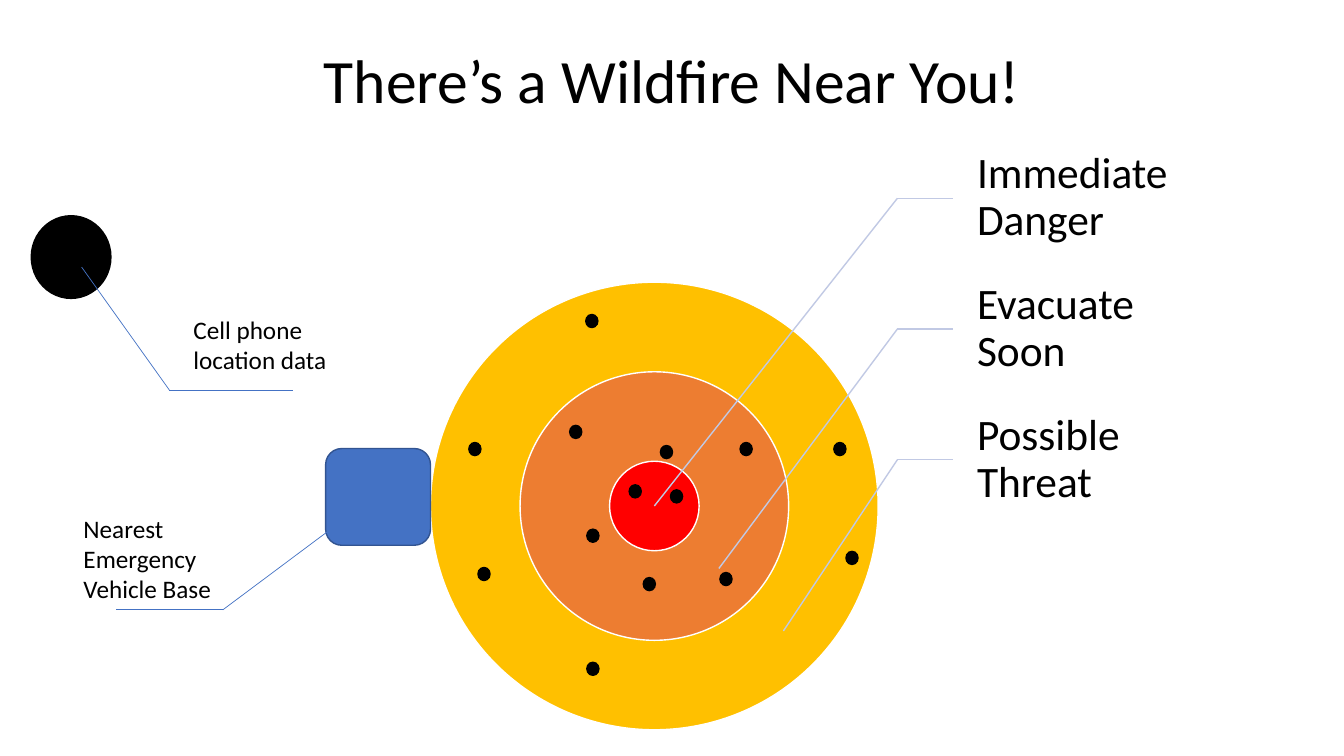
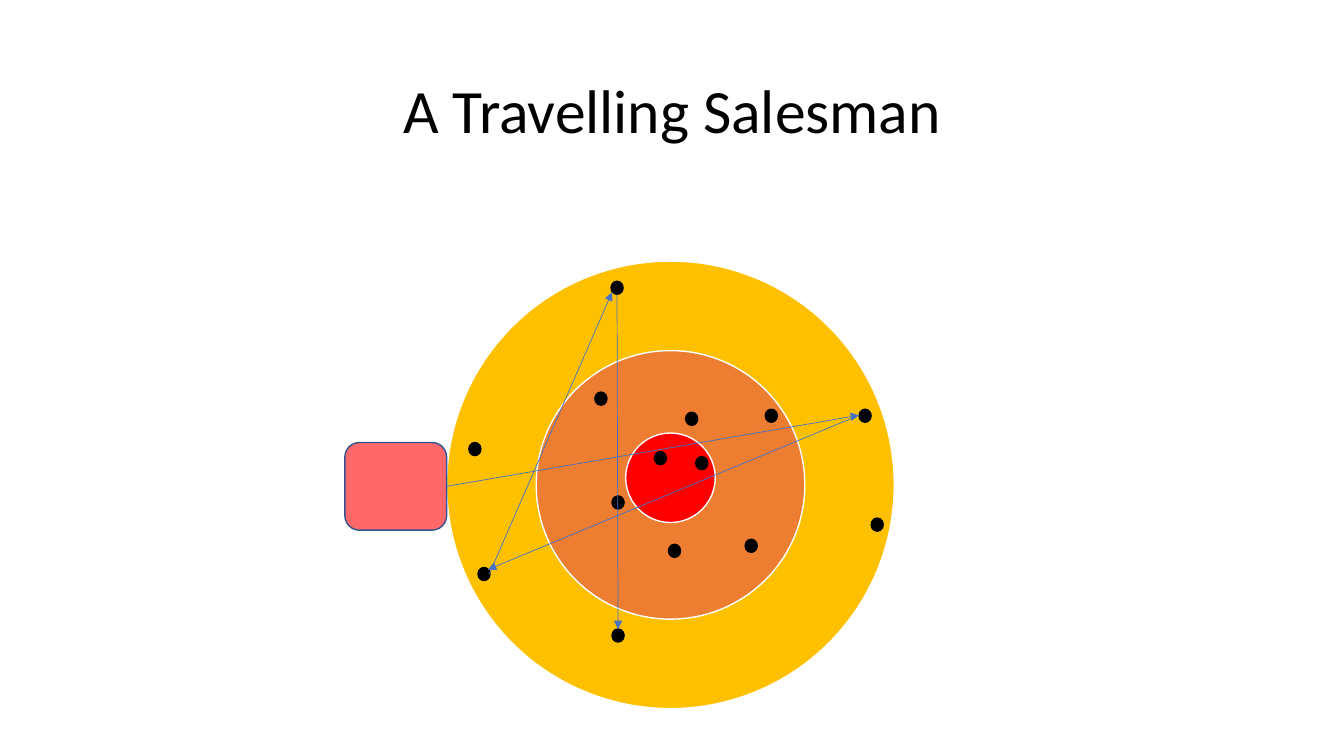
from dataclasses import dataclass

from pptx import Presentation
from pptx.dml.color import RGBColor
from pptx.enum.shapes import MSO_CONNECTOR, MSO_SHAPE
from pptx.enum.text import MSO_ANCHOR as Anchor, MSO_AUTO_SIZE as AutoSize, PP_ALIGN as Align
from pptx.oxml.ns import qn
from pptx.util import Inches, Pt
from lxml.etree import SubElement


@dataclass(frozen=True)
class Theme:
    font: str = "Calibri"
    ink: str = "000000"
    white: str = "FFFFFF"
    possible: str = "FFC000"
    soon: str = "ED7D31"
    danger: str = "FF0000"
    blue: str = "4472C4"
    base_line: str = "325491"
    salesman: str = "FF5050"
    leader: str = "C1C9E4"
    title_size: float = 44
    label_size: float = 31
    note_size: float = 18
    outline: float = 1
    hairline: float = 0.5


@dataclass(frozen=True)
class Box:
    left: float
    top: float
    width: float
    height: float

    @property
    def center(self):
        return self.left + self.width / 2, self.top + self.height / 2

    def emu(self):
        return [Inches(n) for n in (self.left, self.top, self.width, self.height)]


THEME = Theme()
WIDTH, HEIGHT = 13.33, 7.5
TARGET_SIZE = 4.44
DOT_WIDTH, DOT_HEIGHT = 0.12, 0.13

# Phones that move with the target, and the two that stay in place
MOVING_PHONES = [
    (5.65, 4.22), (5.82, 5.25), (6.55, 4.42), (6.65, 4.86), (7.34, 4.39), (7.14, 5.68),
    (6.24, 4.81), (6.38, 5.73), (5.81, 3.12), (5.82, 6.57), (8.27, 4.39), (8.39, 5.47),
]
FIXED_PHONES = [(4.65, 4.39), (4.74, 5.63)]


def color(code):
    return RGBColor.from_string(code)


def write(shape, text, size=THEME.note_size, align=Align.LEFT, anchor=Anchor.TOP,
          spacing=None, margins=None):
    """Put one formatted paragraph into a shape."""
    frame = shape.text_frame
    frame.word_wrap = True
    frame.vertical_anchor = anchor
    if margins:
        (frame.margin_left, frame.margin_top,
         frame.margin_right, frame.margin_bottom) = [Inches(n) for n in margins]
    para = frame.paragraphs[0]
    para.alignment = align
    if spacing:
        para.line_spacing = spacing
    span = para.add_run()
    span.text = text
    span.font.name = THEME.font
    span.font.size = Pt(size)
    span.font.color.rgb = color(THEME.ink)


def add_text(page, box, text, **style):
    shape = page.shapes.add_textbox(*box.emu())
    write(shape, text, **style)
    return shape


def add_figure(page, kind, box, fill, line, opacity=None):
    shape = page.shapes.add_shape(kind, *box.emu())
    shape.shadow.inherit = False
    shape.fill.solid()
    shape.fill.fore_color.rgb = color(fill)
    shape.line.color.rgb = color(line)
    shape.line.width = Pt(THEME.outline)
    if opacity:
        tint = shape._element.spPr.find(qn("a:solidFill"))[0]
        SubElement(tint, qn("a:alpha"), val=str(opacity * 1000))
    return shape


def add_line(page, start, end, shade=THEME.blue, width=THEME.hairline, arrow=False):
    line = page.shapes.add_connector(
        MSO_CONNECTOR.STRAIGHT, *[Inches(n) for n in (*start, *end)])
    line.line.color.rgb = color(shade)
    line.line.width = Pt(width)
    properties = line._element.spPr
    if arrow:
        SubElement(properties.find(qn("a:ln")), qn("a:tailEnd"), type="triangle")
    SubElement(properties, qn("a:effectLst"))
    return line


def add_page(deck, title, top):
    page = deck.slides.add_slide(deck.slide_layouts[5])
    box = Box(0.92, top, 11.5, 1.45)
    heading = page.shapes.title
    heading.left, heading.top, heading.width, heading.height = box.emu()
    write(heading, title, size=THEME.title_size, align=Align.CENTER,
          anchor=Anchor.MIDDLE, spacing=0.9)
    return page


def add_target(page, box, core_lift=0):
    """Three rings around the fire, sized as shares of the box."""
    x, y = box.center
    rings = [(1, THEME.possible, 0), (0.6, THEME.soon, 0), (0.2, THEME.danger, core_lift)]
    for share, fill, lift in rings:
        size = box.width * share
        ring = Box(x - size / 2, y - size / 2 - lift, size, size)
        add_figure(page, MSO_SHAPE.OVAL, ring, fill, THEME.white)


def add_phones(page, shift_x=0, shift_y=0):
    spots = [(x + shift_x, y + shift_y) for x, y in MOVING_PHONES] + FIXED_PHONES
    for x, y in spots:
        add_figure(page, MSO_SHAPE.OVAL, Box(x, y, DOT_WIDTH, DOT_HEIGHT),
                   THEME.ink, THEME.ink)


def add_zone_labels(page, box, target):
    """Stacked labels, each with a bent leader into its ring."""
    names = ["Immediate Danger", "Evacuate Soon", "Possible Threat"]
    row = box.height / len(names)
    elbow_x = box.left - 0.55
    x, y = target.center
    for index, name in enumerate(names):
        cell = Box(box.left, box.top + index * row, box.width, row)
        label = add_text(page, cell, name, size=THEME.label_size, anchor=Anchor.MIDDLE,
                         spacing=0.9, margins=(0.24, 0.04, 0.04, 0.04))
        elbow = elbow_x, cell.center[1]
        style = {"shade": THEME.leader, "width": THEME.outline}
        shelf = add_line(page, elbow, (cell.left, elbow[1]), **style)
        shelf.end_connect(label, 1)
        add_line(page, elbow, (x + index * 0.64, y + index * 0.62), **style)


def add_note(page, box, text, points):
    """A note with a thin polyline to what it describes."""
    for start, end in zip(points, points[1:]):
        add_line(page, start, end)
    note = add_text(page, box, text)
    note.text_frame.auto_size = AutoSize.SHAPE_TO_FIT_TEXT


def build_wildfire(deck):
    page = add_page(deck, "There’s a Wildfire Near You!", 0.1)
    target = Box(4.27, 2.8, TARGET_SIZE, TARGET_SIZE)
    add_target(page, target)
    add_zone_labels(page, Box(9.45, 1.32, 2.22, 3.89), target)
    add_phones(page)

    # Legend
    add_figure(page, MSO_SHAPE.OVAL, Box(0.31, 2.14, 0.79, 0.82), THEME.ink, THEME.ink)
    add_note(page, Box(1.82, 3.07, 1.97, 0.71), "Cell phone location data",
             [(0.81, 2.65), (1.68, 3.87), (2.91, 3.87)])
    add_figure(page, MSO_SHAPE.ROUNDED_RECTANGLE, Box(3.23, 4.45, 1.04, 0.96),
               THEME.blue, THEME.base_line)
    add_note(page, Box(0.73, 5.04, 1.5, 1.01), "Nearest Emergency Vehicle Base",
             [(3.79, 4.87), (2.21, 6.05), (1.15, 6.05)])


def build_salesman(deck):
    page = add_page(deck, "A Travelling Salesman", 0.4)
    add_target(page, Box(4.43, 2.59, TARGET_SIZE, TARGET_SIZE), core_lift=0.07)
    add_phones(page, 0.25, -0.33)
    base = add_figure(page, MSO_SHAPE.ROUNDED_RECTANGLE, Box(3.42, 4.39, 1.01, 0.87),
                      THEME.salesman, THEME.base_line, opacity=86)

    # Route
    legs = [((4.43, 4.82), (8.52, 4.12)), ((8.52, 4.12), (4.84, 5.65)),
            ((4.85, 5.7), (6.07, 2.9)), ((6.12, 2.92), (6.13, 6.24))]
    route = [add_line(page, start, end, arrow=True) for start, end in legs]
    route[0].begin_connect(base, 3)


def main():
    deck = Presentation()
    deck.slide_width, deck.slide_height = Inches(WIDTH), Inches(HEIGHT)
    build_wildfire(deck)
    build_salesman(deck)
    deck.save("out.pptx")


if __name__ == "__main__":
    main()
